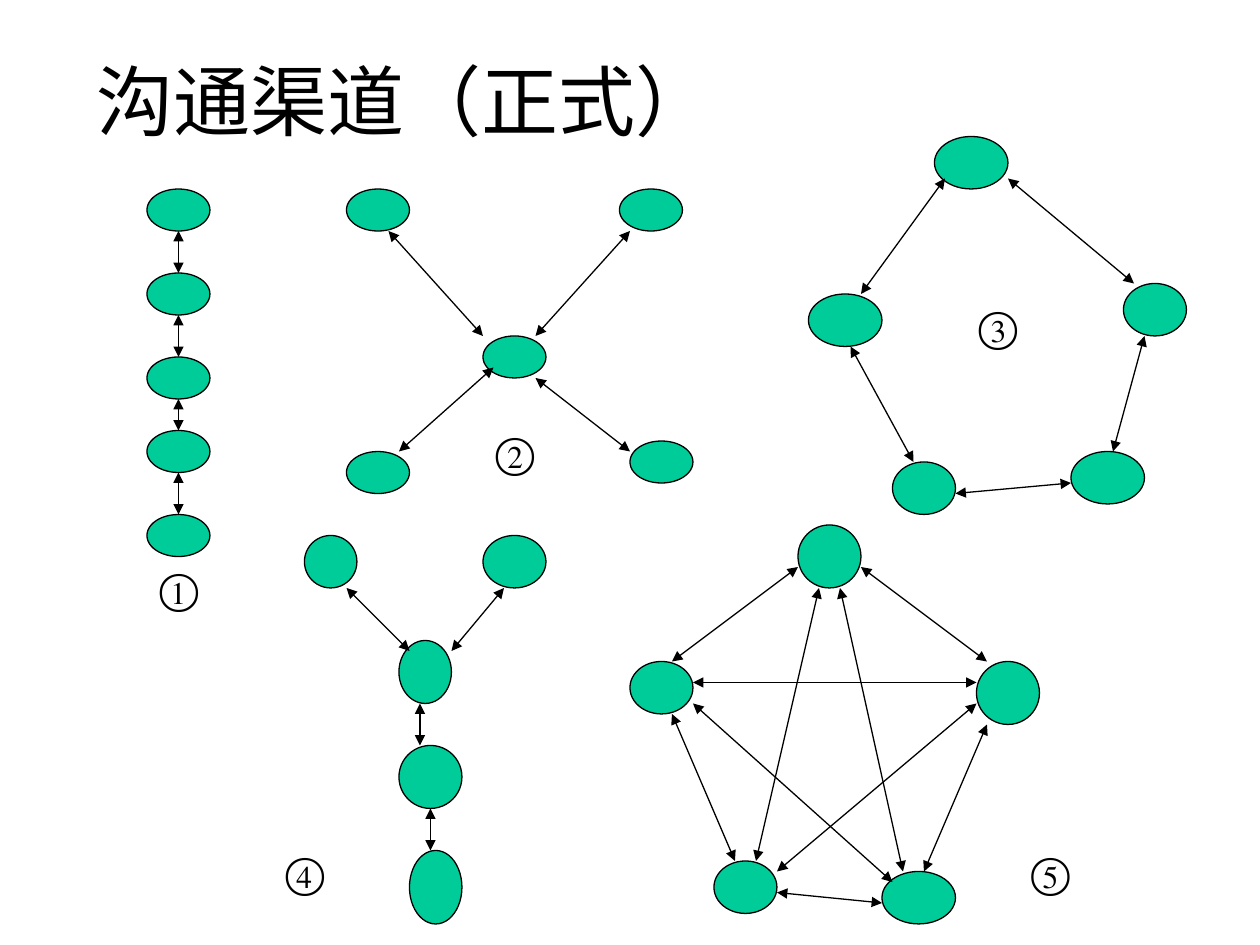
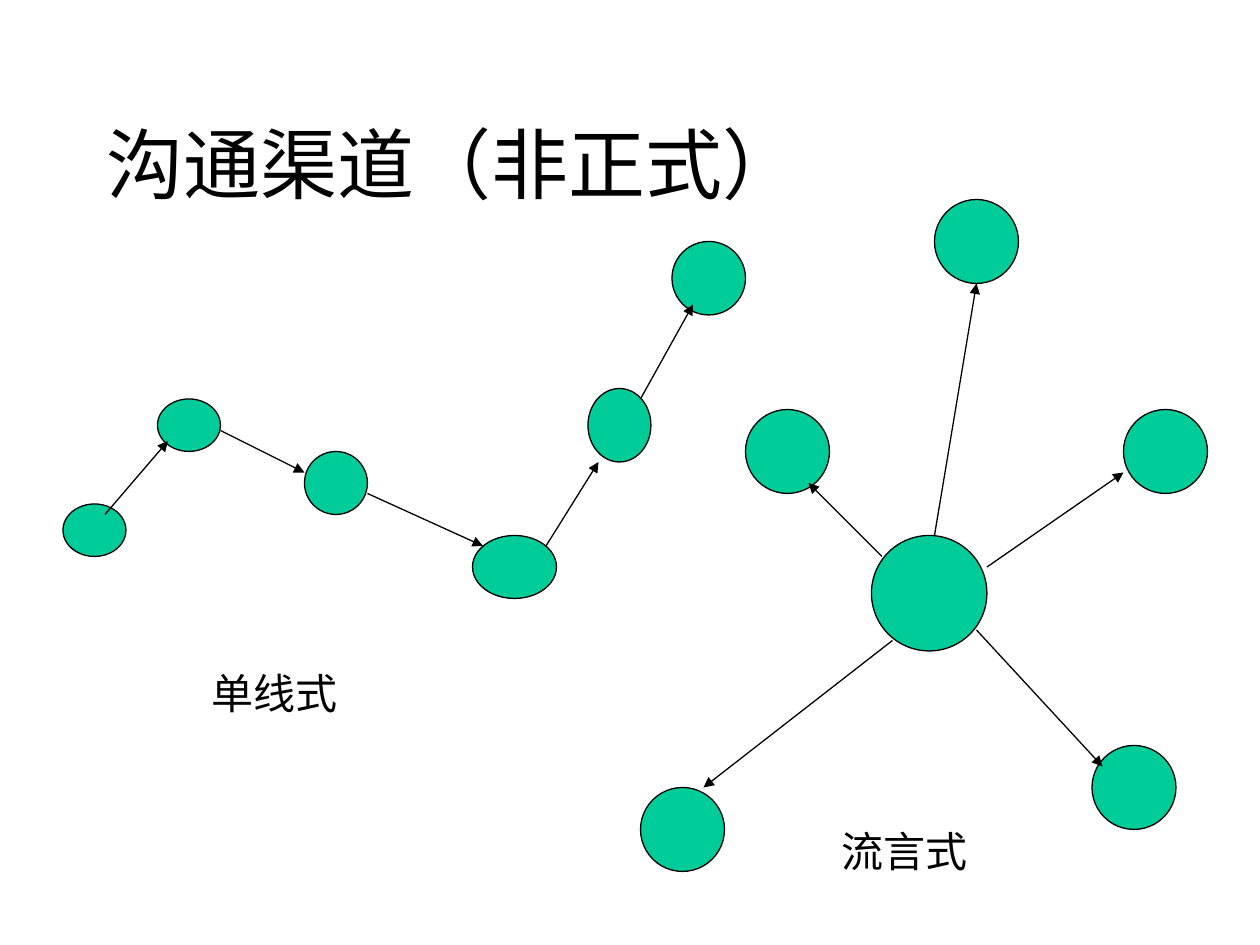
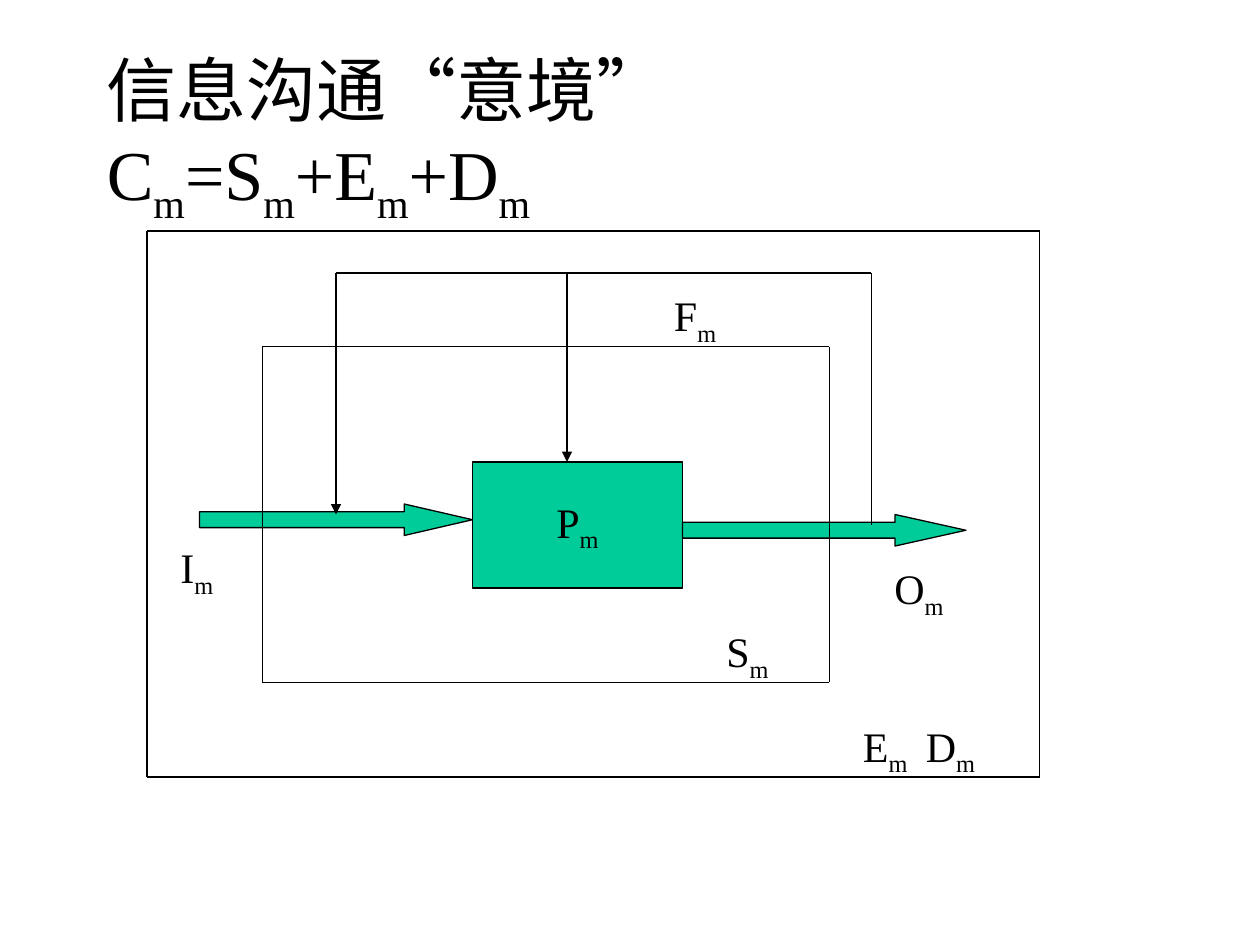
from dataclasses import dataclass

from lxml import etree
from pptx import Presentation
from pptx.dml.color import RGBColor
from pptx.enum.shapes import MSO_CONNECTOR, MSO_SHAPE
from pptx.enum.text import MSO_ANCHOR, PP_ALIGN
from pptx.oxml.ns import qn
from pptx.util import Inches, Pt

OVAL, NODE = MSO_SHAPE.OVAL, MSO_SHAPE.FLOWCHART_CONNECTOR
RECT, ARROW = MSO_SHAPE.RECTANGLE, MSO_SHAPE.RIGHT_ARROW
STRAIGHT = MSO_CONNECTOR.STRAIGHT
TOP, MIDDLE = MSO_ANCHOR.TOP, MSO_ANCHOR.MIDDLE
LEFT, CENTER = PP_ALIGN.LEFT, PP_ALIGN.CENTER

# The slide is a grid of 120 columns by 90 rows of square cells
COLS, ROWS = 120, 90
CELL = Inches(10) // COLS


@dataclass(frozen=True)
class Theme:
    font: str = "Times New Roman"
    ink: RGBColor = RGBColor(0x00, 0x00, 0x00)
    fill: RGBColor = RGBColor(0x00, 0xCC, 0x99)
    line: float = 0.75
    title: int = 44
    small: int = 40
    label: int = 24


THEME = Theme()


@dataclass(frozen=True)
class Box:
    """A region of a slide; its parts are placed from its top left cell."""
    slide: object
    col: int
    row: int

    def spot(self, x, y):
        return (self.col + x) * CELL, (self.row + y) * CELL

    def area(self, x, y, w, h):
        return *self.spot(x, y), w * CELL, h * CELL


# Shared parts

def write(frame, text, size=THEME.label, align=LEFT, anchor=TOP, wrap=True):
    """Fill a text frame; the letter after an underscore is a subscript."""
    frame.word_wrap = wrap
    frame.vertical_anchor = anchor
    for i, row in enumerate(text.split("\n")):
        para = frame.add_paragraph() if i else frame.paragraphs[0]
        para.alignment = align
        first, *rest = row.split("_")
        runs = [(first, False)]
        for part in rest:
            runs += [(part[0], True), (part[1:], False)]
        for words, low in runs:
            if not words:
                continue
            run = para.add_run()
            run.text = words
            run.font.name = THEME.font
            run.font.size = Pt(size)
            run.font.color.rgb = THEME.ink
            if low:
                run.font._element.set("baseline", "-25000")


def label(box, text, x, y, w=8, h=6, **style):
    area = box.slide.shapes.add_textbox(*box.area(x, y, w, h))
    write(area.text_frame, text, **style)


def title(slide, text, col, row, h=15, size=THEME.title):
    label(Box(slide, col, row), text, 0, 0, 102, h, size=size, anchor=MIDDLE)


def shape(box, kind, x, y, w, h):
    part = box.slide.shapes.add_shape(kind, *box.area(x, y, w, h))
    part.shadow.inherit = False
    part.fill.solid()
    part.fill.fore_color.rgb = THEME.fill
    part.line.color.rgb = THEME.ink
    part.line.width = Pt(THEME.line)
    return part


def line(box, x1, y1, x2, y2, ends=()):
    """Draw a line; ends lists headEnd and tailEnd as needed."""
    link = box.slide.shapes.add_connector(
        STRAIGHT, *box.spot(x1, y1), *box.spot(x2, y2))
    link.line.color.rgb = THEME.ink
    link.line.width = Pt(THEME.line)
    stroke = link.line._get_or_add_ln()
    for end in ends:
        etree.SubElement(stroke, qn("a:" + end), type="triangle")
    etree.SubElement(link._element.spPr, qn("a:effectLst"))


def net(box, dots, links, ends, kind=OVAL):
    for dot in dots:
        shape(box, kind, *dot)
    for link in links:
        line(box, *link, ends=ends)


def border(box, x1, y1, x2, y2):
    for side in ((x1, y1, x2, y1), (x1, y1, x1, y2),
                 (x1, y2, x2, y2), (x2, y1, x2, y2)):
        line(box, *side)


BOTH, ONE = ("headEnd", "tailEnd"), ("tailEnd",)


# Formal channels

def chain(box):
    tops = [0, 8, 16, 23, 31]
    dots = [(0, y, 6, 4) for y in tops]
    links = [(3, y + 4, 3, low) for y, low in zip(tops, tops[1:])]
    net(box, dots, links, BOTH, NODE)
    label(box, "①", 0, 35)


def wheel(box):
    spots = [(13, 14), (0, 25), (27, 24), (0, 0), (26, 0)]
    dots = [(x, y, 6, 4) for x, y in spots]
    links = [(4, 4, 13, 14), (18, 18, 27, 25),
             (14, 17, 5, 25), (27, 4, 18, 14)]
    net(box, dots, links, BOTH, NODE)
    label(box, "②", 13, 22)


def ring(box):
    dots = [(12, 0, 7, 5), (0, 15, 7, 5), (30, 14, 6, 5),
            (8, 31, 6, 5), (25, 30, 7, 5)]
    links = [(13, 4, 5, 15), (19, 4, 31, 14), (4, 20, 10, 31),
             (14, 34, 25, 33), (32, 19, 29, 30)]
    net(box, dots, links, BOTH)
    label(box, "③", 15, 15)


def fork(box):
    dots = [(0, 0, 5, 5), (17, 0, 6, 5), (9, 10, 5, 6),
            (9, 20, 6, 6), (10, 30, 5, 7)]
    links = [(4, 5, 10, 11), (19, 5, 14, 11),
             (11, 16, 11, 20), (12, 26, 12, 30)]
    net(box, dots, links, BOTH)
    label(box, "④", -3, 29)


def mesh(box):
    dots = [(16, 0, 6, 6), (0, 13, 6, 5), (8, 32, 6, 5),
            (24, 33, 7, 5), (33, 13, 6, 6)]
    rim = [(22, 4, 34, 13), (16, 4, 4, 13), (4, 18, 10, 32),
           (34, 19, 28, 33), (14, 35, 24, 36)]
    cross = [(20, 6, 26, 33), (18, 6, 12, 32), (6, 15, 33, 15),
             (6, 17, 25, 34), (33, 17, 14, 33)]
    net(box, dots, rim + cross, BOTH)
    label(box, "⑤", 37, 30)


# Informal channels

def strand(box):
    dots = [(0, 25, 6, 5), (9, 15, 6, 5), (23, 20, 6, 6),
            (39, 28, 8, 6), (50, 14, 6, 7), (58, 0, 7, 7)]
    links = [(4, 26, 10, 19), (15, 18, 23, 22), (29, 24, 40, 29),
             (46, 29, 51, 21), (55, 15, 60, 6)]
    net(box, dots, links, ONE)
    label(box, "单线式", 13, 40, 31)


def gossip(box):
    spots = [(28, 0), (46, 20), (10, 20), (0, 56), (43, 52)]
    dots = [(22, 32, 11, 11)] + [(x, y, 8, 8) for x, y in spots]
    links = [(28, 32, 32, 8), (33, 35, 46, 26), (32, 41, 44, 54),
             (23, 34, 16, 27), (24, 42, 6, 56)]
    net(box, dots, links, ONE)
    label(box, "流言式", 18, 59, 27)


# Communication model

def model(box):
    # Process and its flows
    core = shape(box, RECT, 31, 22, 20, 12)
    write(core.text_frame, "P_m", align=CENTER, anchor=MIDDLE, wrap=False)
    for x, y, w, h in ((5, 26, 26, 3), (51, 27, 27, 3)):
        flow = shape(box, ARROW, x, y, w, h)
        flow.adjustments[0] = 0.5
        flow.adjustments[1] = w / h / 4  # the head takes a quarter
    # System, feedback loop and setting
    border(box, 11, 11, 65, 43)
    line(box, 18, 4, 69, 4)
    line(box, 69, 4, 69, 28)
    for x, low in ((18, 27), (40, 22)):
        line(box, x, 4, x, 11)
        line(box, x, 11, x, low, ends=ONE)
    border(box, 0, 0, 85, 52)
    # Names of the parts
    for name, x, y in (("I", 2, 29), ("O", 70, 31), ("S", 54, 37),
                       ("E", 67, 46), ("D", 73, 46), ("F", 49, 5)):
        label(box, name + "_m", x, y)


# Slides

def formal(slide):
    title(slide, "沟通渠道（正式）", 8, 2)
    chain(Box(slide, 14, 18))
    wheel(Box(slide, 33, 18))
    ring(Box(slide, 77, 13))
    fork(Box(slide, 29, 51))
    mesh(Box(slide, 60, 50))


def casual(slide):
    title(slide, "沟通渠道（非正式）", 9, 8)
    strand(Box(slide, 6, 23))
    gossip(Box(slide, 61, 19))


def theory(slide):
    title(slide, "信息沟通“意境”\nC_m=S_m+E_m+D_m", 9, 8, 10, THEME.small)
    model(Box(slide, 14, 22))


def main():
    deck = Presentation()
    deck.slide_width, deck.slide_height = COLS * CELL, ROWS * CELL
    blank = deck.slide_layouts[6]
    for build in (formal, casual, theory):
        build(deck.slides.add_slide(blank))
    deck.save("out.pptx")


if __name__ == "__main__":
    main()
